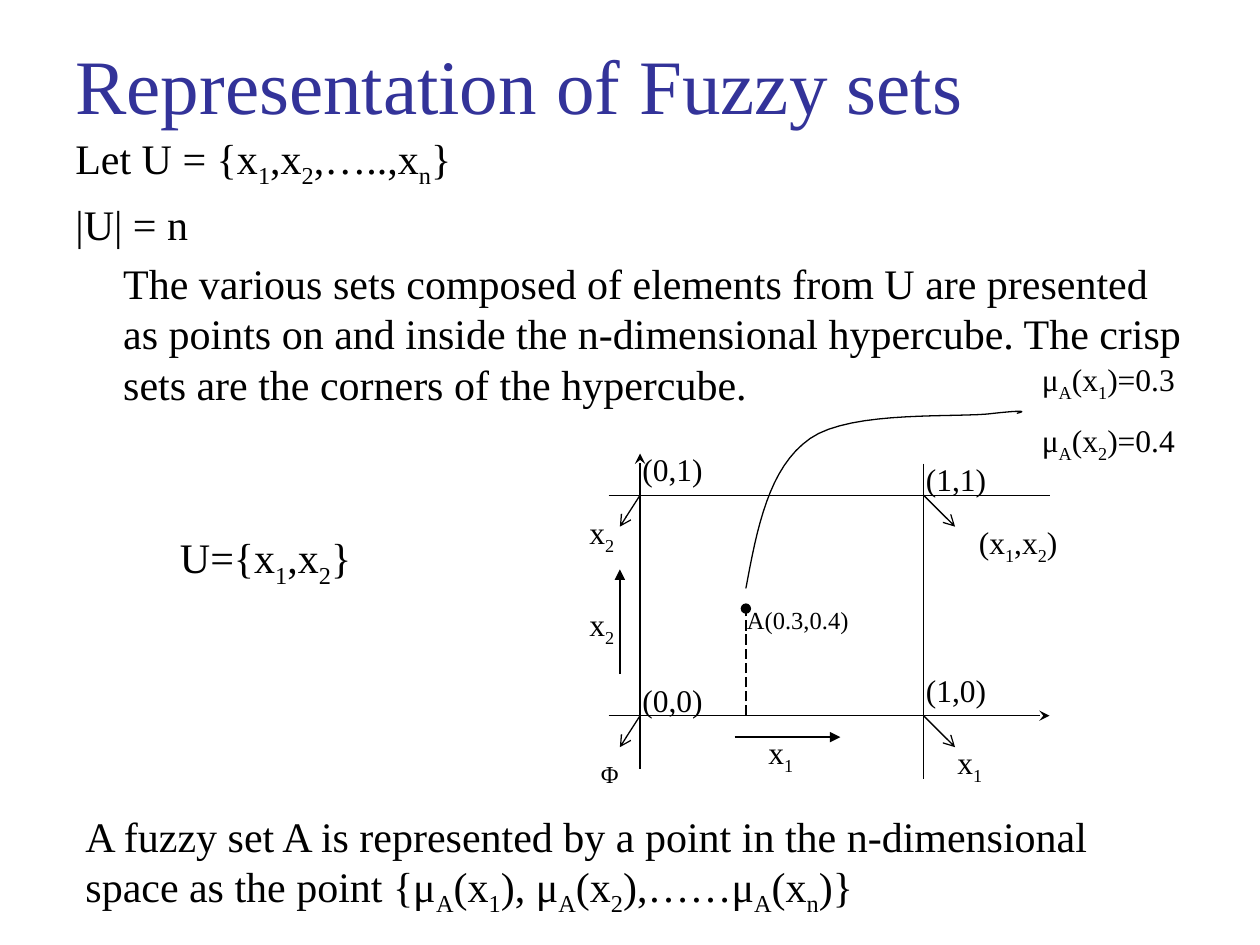
import itertools
import pptx
import pptx.util
import pptx.dml.color
import pptx.enum.dml
import pptx.enum.shapes
import pptx.enum.text
import pptx.oxml
from lxml import etree
from pptx.util import Inches, Pt

FONT = "Times New Roman"
COLORS = {"title": "333399", "ink": "000000"}
NS = "http://schemas.openxmlformats.org/drawingml/2006/main"


def color(name):
    return pptx.dml.color.RGBColor.from_string(COLORS[name])


def style(par, size, name="ink"):
    par.font.name = FONT
    par.font.size = Pt(size)
    par.font.color.rgb = color(name)


def fill(par, text):
    parts = text.split("_")
    pieces = [(parts[0], False)]
    for part in parts[1:]:
        pieces += [(part[0], True), (part[1:], False)]
    for piece, low in pieces:
        if piece:
            run = par.add_run()
            run.text = piece
            if low:
                run.font._element.set("baseline", "-25000")


def write(slide, box, lines, size=18, gap=10):
    shape = slide.shapes.add_textbox(*map(Inches, box))
    frame = shape.text_frame
    frame.word_wrap = True
    for i, line in enumerate(lines):
        par = frame.add_paragraph() if i else frame.paragraphs[0]
        style(par, size)
        if i:
            par.space_before = Pt(gap)
        fill(par, line)
    return frame


def draw(slide, start, end, tip=None, dash=False):
    kind = pptx.enum.shapes.MSO_CONNECTOR.STRAIGHT
    line = slide.shapes.add_connector(kind, *map(Inches, start + end))
    line.line.color.rgb = color("ink")
    line.line.width = Pt(0.75)
    if dash:
        line.line.dash_style = pptx.enum.dml.MSO_LINE.LONG_DASH
    if tip:
        etree.SubElement(line.line._get_or_add_ln(), f"{{{NS}}}tailEnd", type=tip)
    etree.SubElement(line._element.spPr, f"{{{NS}}}effectLst")


def bend(points, steps=16):
    spots = [points[0]]
    for i in range(0, len(points) - 1, 3):
        a, b, c, d = points[i:i + 4]
        for n in range(1, steps + 1):
            t = n / steps
            u = 1 - t
            spots.append(tuple(
                u**3 * p + 3 * u * u * t * q + 3 * u * t * t * r + t**3 * s
                for p, q, r, s in zip(a, b, c, d)))
    return spots


def curve(slide, points):
    spots = [(Inches(x), Inches(y)) for x, y in bend(points)]
    form = slide.shapes.build_freeform(*spots[0], scale=1.0)
    form.add_line_segments(spots[1:], close=False)
    shape = form.convert_to_shape()
    shape.shadow.inherit = False
    shape.fill.background()
    shape.line.color.rgb = color("ink")
    shape.line.width = Pt(0.75)


def head(slide, box, text):
    title = slide.shapes.title
    title.left, title.top, title.width, title.height = map(Inches, box)
    frame = title.text_frame
    frame.text = text
    frame.vertical_anchor = pptx.enum.text.MSO_ANCHOR.BOTTOM
    par = frame.paragraphs[0]
    par.alignment = pptx.enum.text.PP_ALIGN.LEFT
    style(par, 44, "title")


def body(slide, box):
    frame = write(slide, box, [
        "Let U = {x_1,x_2,…..,x_n}",
        "|U| = n",
        "The various sets composed of elements from U are presented as points on "
        "and inside the n-dimensional hypercube. The crisp sets are the corners "
        "of the hypercube.",
    ], 24, 5)
    frame.paragraphs[2]._p.get_or_add_pPr().set("marL", str(Inches(0.38)))


def graph(slide, box):
    left, top, width, height = box
    right, base = left + width, top + height

    draw(slide, (left, base + 0.42), (left, top - 0.33), "stealth")
    draw(slide, (left - 0.25, base), (right + 1, base), "stealth")
    draw(slide, (left - 0.25, top), (right + 1, top))
    draw(slide, (right, top - 0.25), (right, base + 0.5))

    for x, y in itertools.product((left, right), (top, base)):
        reach = -0.16 if x == left else 0.25
        draw(slide, (x, y), (x + reach, y + 0.25), "arrow")

    draw(slide, (left + 0.75, base + 0.17), (left + 1.59, base + 0.17), "triangle")
    draw(slide, (left - 0.16, base - 0.33), (left - 0.16, top + 0.59), "triangle")
    draw(slide, (left + 0.84, base), (left + 0.84, top + 0.9), "oval", True)

    labels = [
        ("(0,1)", left - 0.08, top - 0.41, 0.83),
        ("(1,1)", right - 0.08, top - 0.33, 0.83),
        ("(0,0)", left - 0.08, base - 0.32, 0.83),
        ("(1,0)", right - 0.08, base - 0.4, 0.83),
        ("x_2", left - 0.5, top + 0.09, 0.5),
        ("x_2", left - 0.5, top + 0.82, 0.5),
        ("x_1", left + 0.92, base + 0.09, 0.83),
        ("x_1", right + 0.17, base + 0.17, 0.83),
        ("(x_1,x_2)", right + 0.34, top + 0.17, 0.92),
    ]
    for text, x, y, wide in labels:
        write(slide, (x, y, wide, 0.4), [text])
    write(slide, (left - 0.41, base + 0.07, 0.83, 0.37), ["_Φ"], 24)
    write(slide, (left + 0.75, top + 0.82, 1.58, 0.33), ["A(0.3,0.4)"], 14)

    path = [(0.84, 0.74), (0.93, 0.26), (1.02, -0.22), (1.35, -0.45),
            (1.68, -0.68), (2.54, -0.61), (2.81, -0.65),
            (3.09, -0.68), (3.04, -0.66), (2.99, -0.65)]
    curve(slide, [(left + x, top + y) for x, y in path])
    write(slide, (right + 0.84, top - 1.12, 1.58, 0.85),
          [f"μ_A(x_{n})={value}" for n, value in ((1, 0.3), (2, 0.4))])


def main():
    deck = pptx.Presentation()
    deck.slide_width, deck.slide_height = Inches(10), Inches(7.5)
    slide = deck.slides.add_slide(deck.slide_layouts[5])
    head(slide, (0.5, -0.17, 9, 1.25), "Representation of Fuzzy sets")
    body(slide, (0.5, 1, 9, 2.4))
    graph(slide, (5.08, 3.93, 2.25, 1.75))
    write(slide, (1.33, 4.17, 1.67, 0.5), ["U={x_1,x_2}"], 24)
    write(slide, (0.58, 6.38, 8.25, 0.9), [
        "A fuzzy set A is represented by a point in the n-dimensional space "
        "as the point {μ_A(x_1), μ_A(x_2),……μ_A(x_n)}"], 24)
    deck.save("out.pptx")


if __name__ == "__main__":
    main()
